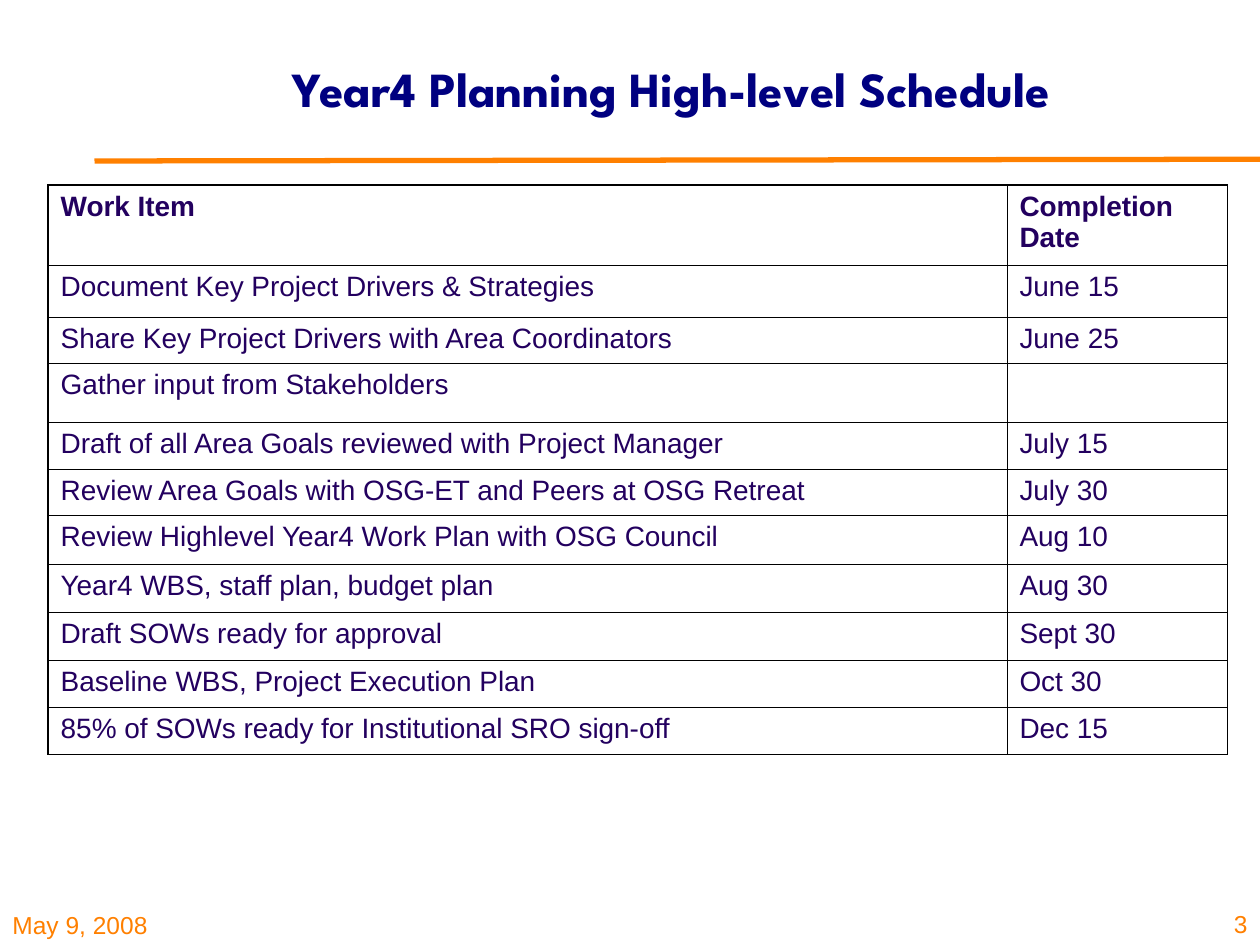
from lxml import etree
from pptx import Presentation, util as u
from pptx.dml.color import RGBColor
from pptx.enum import shapes, text
from pptx.oxml.ns import qn

TITLE = "Year4 Planning High-level Schedule"
DATE, PAGE = "May 9, 2008", "3"
SCHEDULE = [
    ("Work Item", "Completion Date", 45.4),
    ("Document Key Project Drivers & Strategies", "June 15", 29.7),
    ("Share Key Project Drivers with Area Coordinators", "June 25", 26.3),
    ("Gather input from Stakeholders", "", 33.7),
    ("Draft of all Area Goals reviewed with Project Manager", "July 15", 26.9),
    ("Review Area Goals with OSG-ET and Peers at OSG Retreat", "July 30", 26.3),
    ("Review Highlevel Year4 Work Plan with OSG Council", "Aug 10", 28),
    ("Year4 WBS, staff plan, budget plan", "Aug 30", 27.4),
    ("Draft SOWs ready for approval", "Sept 30", 27.4),
    ("Baseline WBS, Project Execution Plan", "Oct 30", 26.9),
    ("85% of SOWs ready for Institutional SRO sign-off", "Dec 15", 27.1),
]
COLUMNS = (547.9, 126)
THEME = {
    "title": ("League Spartan", 28, "000080", True),
    "header": ("Arial", 16, "23005F", True),
    "body": ("Arial", 16, "23005F", False),
    "footer": ("Arial", 14, "FF8000", False),
    "rule": ("FF8000", 3),
    "border": "000000",
    "outer": 1.08,
    "inner": 0.45,
}


def style(p, role, align=text.PP_ALIGN.LEFT):
    name, size, color, bold = THEME[role]
    p.alignment = align
    p.font.name, p.font.size, p.font.bold = name, u.Pt(size), bold
    p.font.color.rgb = RGBColor.from_string(color)


def add_text(slide, words, box, role, align, anchor):
    tf = slide.shapes.add_textbox(*map(u.Pt, box)).text_frame
    tf.word_wrap, tf.vertical_anchor = True, anchor
    tf.text = words
    style(tf.paragraphs[0], role, align)


def add_rule(slide, start, end):
    color, width = THEME["rule"]
    line = slide.shapes.add_connector(
        shapes.MSO_CONNECTOR.STRAIGHT, *map(u.Pt, start + end))
    line.line.color.rgb = RGBColor.from_string(color)
    line.line.width = u.Pt(width)
    etree.SubElement(line._element.spPr, qn("a:effectLst"))


def set_borders(cell, outer_sides):
    tc_pr = cell._tc.get_or_add_tcPr()
    for side, is_outer in zip("LRTB", outer_sides):
        width = THEME["outer" if is_outer else "inner"]
        ln = etree.SubElement(tc_pr, qn(f"a:ln{side}"), w=str(u.Pt(width)))
        fill = etree.SubElement(ln, qn("a:solidFill"))
        etree.SubElement(fill, qn("a:srgbClr"), val=THEME["border"])


def add_schedule(slide, left, top):
    height = sum(row[-1] for row in SCHEDULE)
    last_row, last_col = len(SCHEDULE) - 1, len(COLUMNS) - 1
    table = slide.shapes.add_table(
        len(SCHEDULE), len(COLUMNS),
        *map(u.Pt, (left, top, sum(COLUMNS), height))).table
    table.first_row = table.horz_banding = False
    for column, width in zip(table.columns, COLUMNS):
        column.width = u.Pt(width)
    for r, (*words, row_height) in enumerate(SCHEDULE):
        table.rows[r].height = u.Pt(row_height)
        for c, word in enumerate(words):
            cell = table.cell(r, c)
            cell.text = word
            style(cell.text_frame.paragraphs[0], "body" if r else "header")
            set_borders(cell, (c == 0, c == last_col, r == 0, r == last_row))
            cell.fill.background()


def main():
    """Build the planning schedule slide."""
    prs = Presentation()
    prs.slide_width, prs.slide_height = u.Pt(720), u.Pt(540)
    slide = prs.slides.add_slide(prs.slide_layouts[6])
    left, center, right = (
        text.PP_ALIGN.LEFT, text.PP_ALIGN.CENTER, text.PP_ALIGN.RIGHT)
    middle, bottom = text.MSO_ANCHOR.MIDDLE, text.MSO_ANCHOR.BOTTOM
    add_text(slide, DATE, (0, 510.5, 178.5, 30), "footer", left, bottom)
    add_rule(slide, (54, 92), (720, 91))
    add_text(slide, PAGE, (687, 504, 33, 36), "footer", right, bottom)
    add_text(slide, TITLE, (110, 16.5, 547, 68), "title", center, middle)
    add_schedule(slide, 27.5, 105.8)
    prs.save("out.pptx")


if __name__ == "__main__":
    main()
